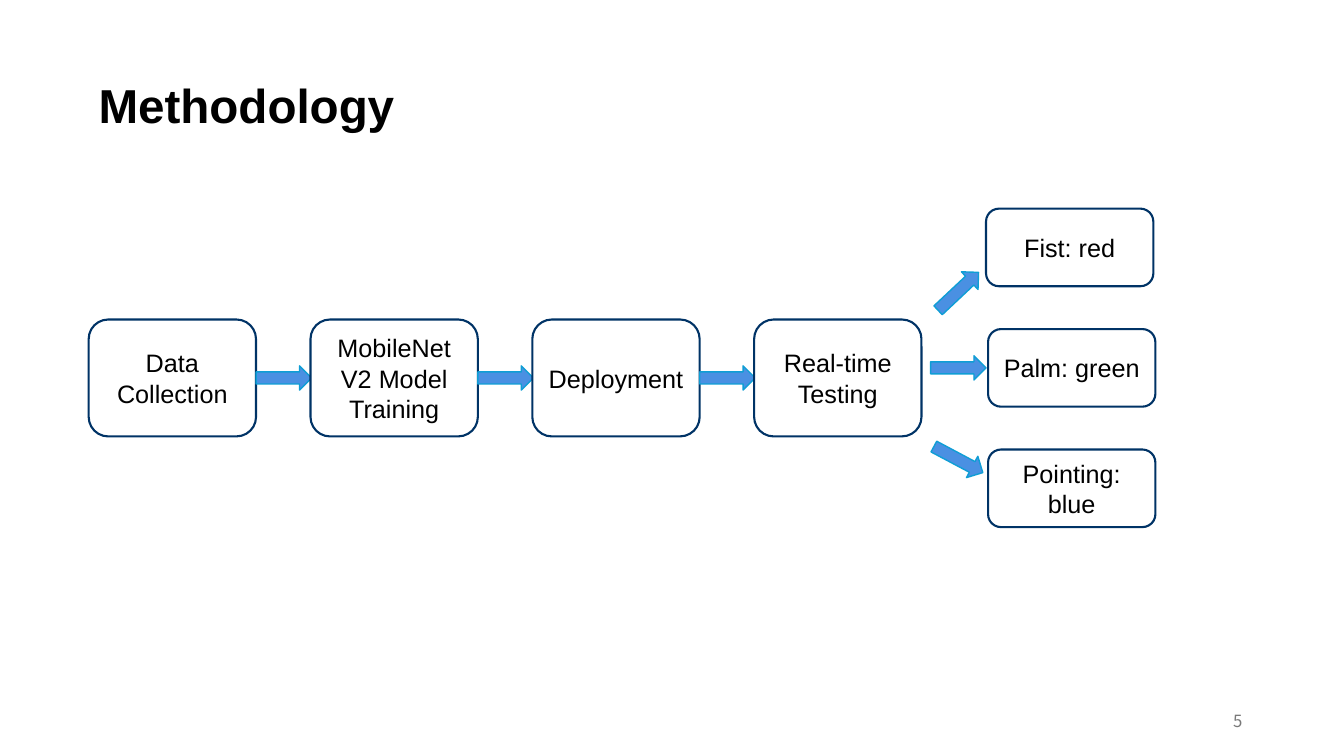
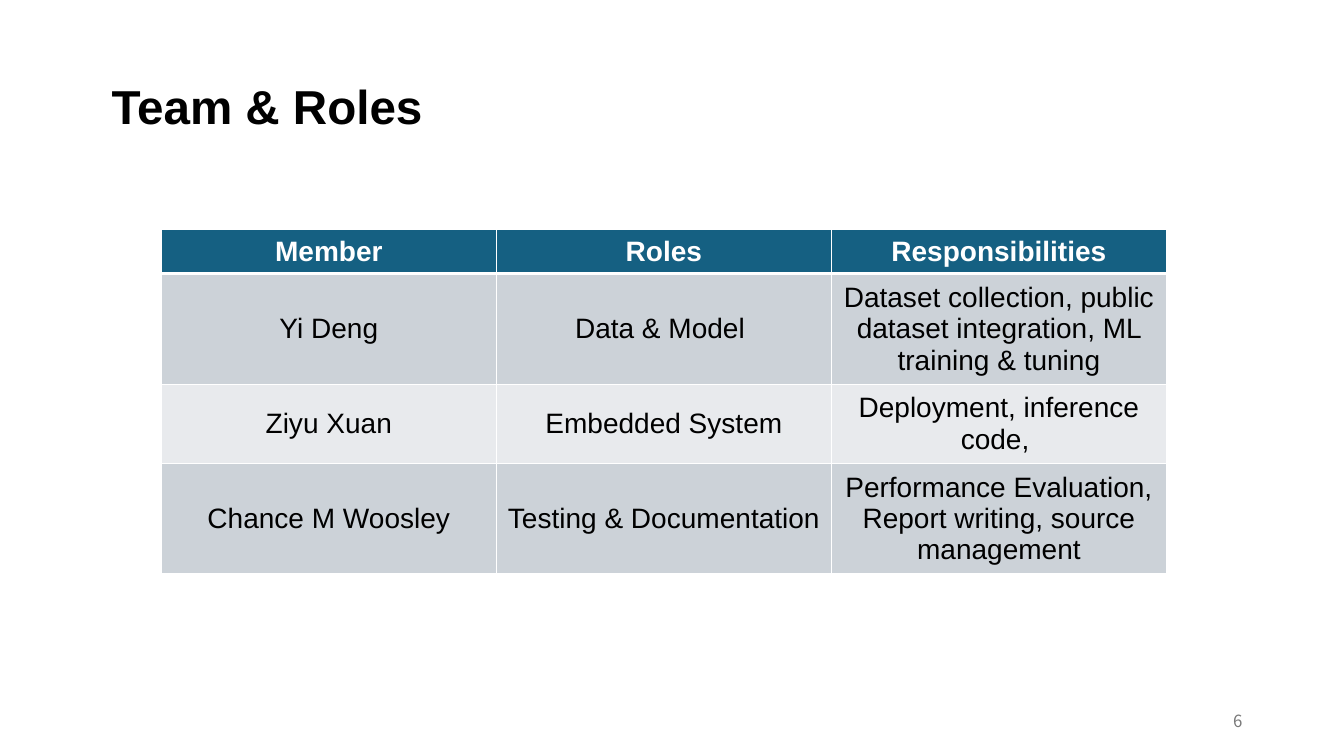
from lxml import etree
from pptx import Presentation
from pptx.dml.color import RGBColor
from pptx.enum.shapes import MSO_SHAPE
from pptx.enum.text import MSO_ANCHOR, MSO_AUTO_SIZE, PP_ALIGN
from pptx.oxml.ns import qn
from pptx.util import Inches, Pt

ROUNDED = MSO_SHAPE.ROUNDED_RECTANGLE
ARROW = MSO_SHAPE.RIGHT_ARROW
LEFT, CENTER, RIGHT = PP_ALIGN.LEFT, PP_ALIGN.CENTER, PP_ALIGN.RIGHT
TOP, MIDDLE = MSO_ANCHOR.TOP, MSO_ANCHOR.MIDDLE

BLACK, WHITE = RGBColor(0, 0, 0), RGBColor(255, 255, 255)
THEME = {
    "title": ({"name": "Arial", "size": Pt(34), "bold": True}, BLACK, LEFT),
    "box": ({"name": "Arial", "size": Pt(18)}, BLACK, CENTER),
    "header": ({"name": "Arial", "size": Pt(20), "bold": True}, WHITE, CENTER),
    "body": ({"name": "Arial", "size": Pt(20), "bold": False}, BLACK, CENTER),
    "number": ({"name": "Noto Sans CJK SC", "size": Pt(12)},
               RGBColor.from_string("797979"), RIGHT),
    ROUNDED: (WHITE, RGBColor.from_string("003366"), Pt(1.5)),
    ARROW: (RGBColor.from_string("4A90E2"), RGBColor.from_string("0F9ED5"), Pt(1)),
    "header_fill": RGBColor.from_string("156082"),
    "row_fills": [RGBColor.from_string("CCD2D8"), RGBColor.from_string("E8EAED")],
    "cell_line": "FFFFFF",
}


def write(text_frame, text, style):
    font_values, color, alignment = THEME[style]
    paragraph = text_frame.paragraphs[0]
    paragraph.alignment = alignment
    run = paragraph.add_run()
    run.text = text
    for attribute, value in font_values.items():
        setattr(run.font, attribute, value)
    run.font.color.rgb = color


def add_block(slide, kind, left, top, width, height, text="", rotation=0):
    fill, line, weight = THEME[kind]
    shape = slide.shapes.add_shape(
        kind, Inches(left), Inches(top), Inches(width), Inches(height))
    shape.shadow.inherit = False
    shape.fill.solid()
    shape.fill.fore_color.rgb = fill
    shape.line.color.rgb = line
    shape.line.width = weight
    shape.rotation = rotation
    if text:
        shape.text_frame.word_wrap = True
        shape.text_frame.vertical_anchor = MIDDLE
        write(shape.text_frame, text, "box")


presentation = Presentation()
presentation.slide_width = Inches(13.33)
presentation.slide_height = Inches(7.5)
blank_layout = presentation.slide_layouts[6]

slides = []
for number, title, title_left, title_top in [
    (5, "Methodology", 0.88, 0.7),
    (6, "Team & Roles", 1.01, 0.71),
]:
    slide = presentation.slides.add_slide(blank_layout)
    slides.append(slide)
    for text, style, left, top, width, height, frame_values in [
        (title, "title", title_left, title_top, 4.94, 0.67,
         {"vertical_anchor": TOP, "auto_size": MSO_AUTO_SIZE.SHAPE_TO_FIT_TEXT}),
        (str(number), "number", 9.42, 6.95, 3, 0.4, {"vertical_anchor": MIDDLE}),
    ]:
        text_box = slide.shapes.add_textbox(
            Inches(left), Inches(top), Inches(width), Inches(height))
        text_box.text_frame.word_wrap = True
        for attribute, value in frame_values.items():
            setattr(text_box.text_frame, attribute, value)
        write(text_box.text_frame, text, style)

methodology, team = slides

steps = ["Data Collection", "MobileNet V2 Model Training", "Deployment", "Real-time Testing"]
step_left, step_top, step_pitch = 0.88, 3.17, 2.2
box_width, step_height = 1.66, 1.16
arrow_width, arrow_height = 0.55, 0.24
for index, step in enumerate(steps):
    left = step_left + index * step_pitch
    add_block(methodology, ROUNDED, left, step_top, box_width, step_height, step)
    if index < len(steps) - 1:
        add_block(methodology, ARROW, left + box_width, 3.63, arrow_width, arrow_height)

outcomes = [
    ("Fist: red", 9.78, 2.77, 316.8),
    ("Palm: green", 9.8, 3.53, 0),
    ("Pointing: blue", 9.8, 4.44, 28),
]
outcome_top, outcome_pitch, outcome_height = 2.07, 1.195, 0.77
for index, (outcome, left, arrow_top, rotation) in enumerate(outcomes):
    add_block(methodology, ARROW, 9.23, arrow_top, arrow_width, arrow_height,
              rotation=rotation)
    add_block(methodology, ROUNDED, left, outcome_top + index * outcome_pitch,
              box_width, outcome_height, outcome)

rows = [
    ("Member", "Roles", "Responsibilities"),
    ("Yi Deng", "Data & Model ",
     "Dataset collection, public dataset integration, ML training & tuning"),
    ("Ziyu Xuan", "Embedded System", "Deployment, inference code, "),
    ("Chance M Woosley", "Testing & Documentation ",
     "Performance Evaluation, Report writing, source management"),
]
row_heights = [0.43, 1.09, 0.78, 1.1]
table = team.shapes.add_table(
    len(rows), len(rows[0]), Inches(1.6), Inches(2.28),
    Inches(9.97), Inches(sum(row_heights))).table
for row_index, (row, height) in enumerate(zip(rows, row_heights)):
    table.rows[row_index].height = Inches(height)
    is_header = row_index == 0
    fill = THEME["header_fill"] if is_header else THEME["row_fills"][(row_index - 1) % 2]
    for column_index, text in enumerate(row):
        cell = table.cell(row_index, column_index)
        cell.vertical_anchor = MIDDLE
        write(cell.text_frame, text, "header" if is_header else "body")
        properties = cell._tc.get_or_add_tcPr()
        for side in "LRTB":
            thick = (side == "B" and is_header) or (side == "T" and row_index == 1)
            border = etree.SubElement(
                properties, qn(f"a:ln{side}"), w=str(Pt(3 if thick else 1)))
            solid = etree.SubElement(border, qn("a:solidFill"))
            etree.SubElement(solid, qn("a:srgbClr"), val=THEME["cell_line"])
        cell.fill.solid()
        cell.fill.fore_color.rgb = fill

presentation.save("out.pptx")
